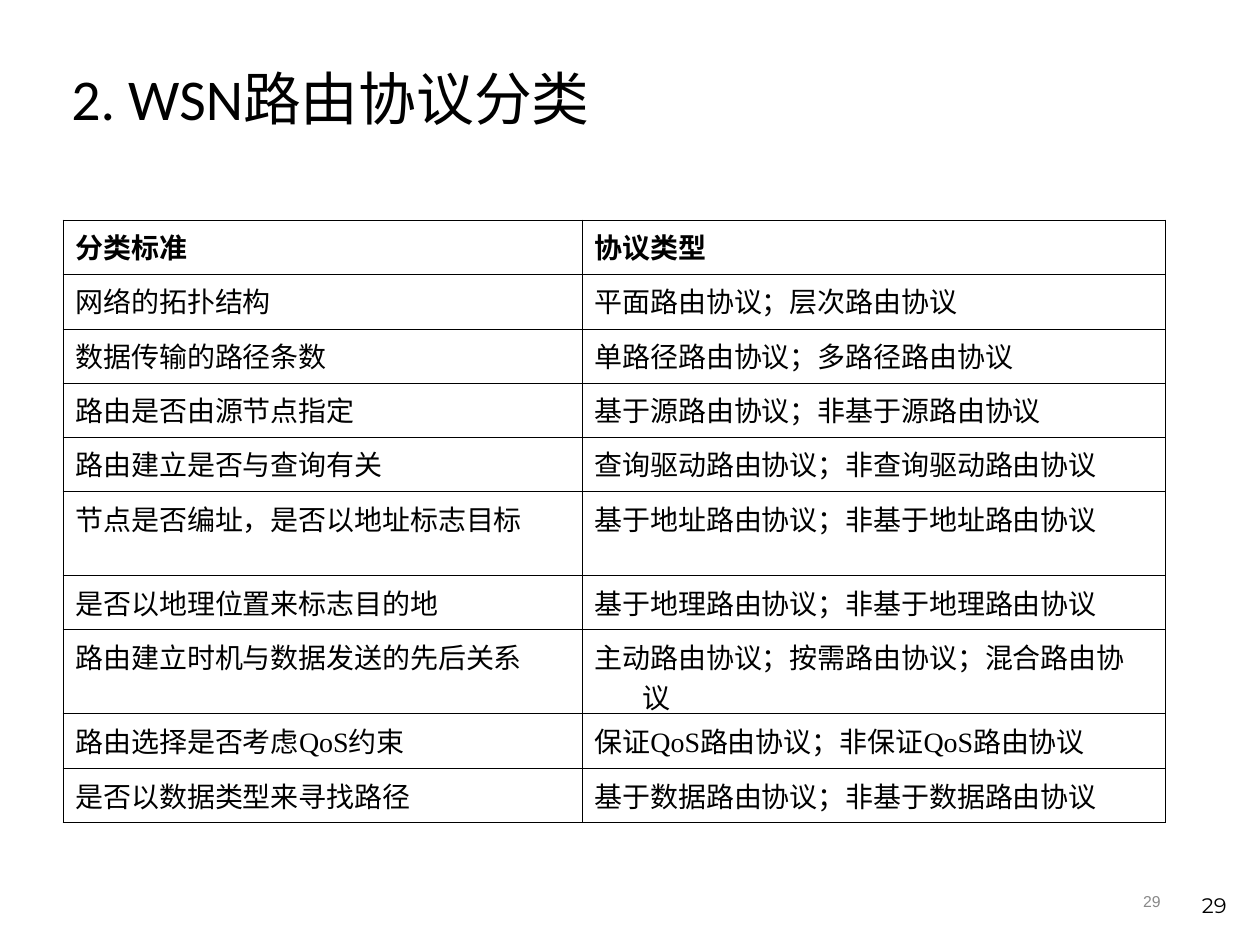
import dataclasses

import pptx
import pptx.dml.color
import pptx.enum.text
import pptx.oxml
import pptx.oxml.ns
import pptx.util

ALIGN = pptx.enum.text.PP_ALIGN
ANCHOR = pptx.enum.text.MSO_ANCHOR


def px(length):
    return pptx.util.Emu(round(length * 914400 / 126))


@dataclasses.dataclass(frozen=True)
class Theme:
    ink: str = "000000"
    muted: str = "898989"
    title_font: str = "Calibri"
    table_font: str = "Times New Roman"
    footer_font: str = "Arial"
    number_font: str = "Montserrat"
    title_size: int = 33
    table_size: int = 16
    footer_size: int = 9
    number_size: int = 12
    border_width: float = 0.45


class SlideBuilder:
    def __init__(self, slide, theme):
        self.slide = slide
        self.theme = theme

    def run(self, paragraph, text, font, size, color, bold=False):
        run = paragraph.add_run()
        run.text = text
        run.font.name = font
        run.font.size = pptx.util.Pt(size)
        run.font.bold = bold
        run.font.color.rgb = pptx.dml.color.RGBColor.from_string(color)

    def text(self, box, text, font, size, color, anchor, align=ALIGN.LEFT, line_spacing=1.0):
        shape = self.slide.shapes.add_textbox(*map(px, box))
        frame = shape.text_frame
        frame.word_wrap = True
        frame.vertical_anchor = anchor
        paragraph = frame.paragraphs[0]
        paragraph.alignment = align
        paragraph.line_spacing = line_spacing
        self.run(paragraph, text, font, size, color)

    def border(self, cell):
        properties = cell._tc.get_or_add_tcPr()
        width = pptx.util.Pt(self.theme.border_width)
        for index, side in enumerate(("lnL", "lnR", "lnT", "lnB")):
            line = pptx.oxml.parse_xml(
                f'<a:{side} {pptx.oxml.ns.nsdecls("a")} w="{width}"><a:solidFill>'
                f'<a:srgbClr val="{self.theme.ink}"/></a:solidFill></a:{side}>'
            )
            properties.insert(index, line)

    def cell(self, cell, text, bold, hanging):
        cell.fill.background()
        self.border(cell)
        paragraph = cell.text_frame.paragraphs[0]
        properties = paragraph._p.get_or_add_pPr()
        properties.set("marL", str(px(hanging)))
        properties.set("indent", str(-px(hanging)))
        self.run(paragraph, text, self.theme.table_font, self.theme.table_size, self.theme.ink, bold)

    def table(self, left, top, widths, heights, rows, hanging):
        frame = self.slide.shapes.add_table(
            len(rows), len(widths), px(left), px(top), px(sum(widths)), px(sum(heights))
        )
        table = frame.table
        table.first_row = False
        table.horz_banding = False
        for column, width in zip(table.columns, widths):
            column.width = px(width)
        for row_index, (row, height, texts) in enumerate(zip(table.rows, heights, rows)):
            row.height = px(height)
            for cell, text in zip(row.cells, texts):
                self.cell(cell, text, row_index == 0, hanging)


PROTOCOLS = [
    ("分类标准", "协议类型"),
    ("网络的拓扑结构", "平面路由协议；层次路由协议"),
    ("数据传输的路径条数", "单路径路由协议；多路径路由协议"),
    ("路由是否由源节点指定", "基于源路由协议；非基于源路由协议"),
    ("路由建立是否与查询有关", "查询驱动路由协议；非查询驱动路由协议"),
    ("节点是否编址，是否以地址标志目标", "基于地址路由协议；非基于地址路由协议"),
    ("是否以地理位置来标志目的地", "基于地理路由协议；非基于地理路由协议"),
    ("路由建立时机与数据发送的先后关系", "主动路由协议；按需路由协议；混合路由协议"),
    ("路由选择是否考虑QoS约束", "保证QoS路由协议；非保证QoS路由协议"),
    ("是否以数据类型来寻找路径", "基于数据路由协议；非基于数据路由协议"),
]
ROW_HEIGHTS = [54, 55, 54, 54, 55, 84, 54, 84, 55, 54]


def main():
    presentation = pptx.Presentation()
    presentation.slide_width = px(1260)
    presentation.slide_height = px(945)
    theme = Theme()
    builder = SlideBuilder(presentation.slides.add_slide(presentation.slide_layouts[6]), theme)

    builder.text((59, 39, 1105, 126), "2. WSN路由协议分类", theme.title_font, theme.title_size,
                 theme.ink, ANCHOR.MIDDLE, line_spacing=0.9)
    builder.table(63, 220, (519, 583), ROW_HEIGHTS, PROTOCOLS, hanging=48)
    builder.text((890, 876, 283, 50), "29", theme.footer_font, theme.footer_size,
                 theme.muted, ANCHOR.MIDDLE, ALIGN.RIGHT)
    builder.text((945, 861, 294, 63), "29", theme.number_font, theme.number_size,
                 theme.ink, ANCHOR.BOTTOM, ALIGN.RIGHT)
    presentation.save("out.pptx")


if __name__ == "__main__":
    main()
